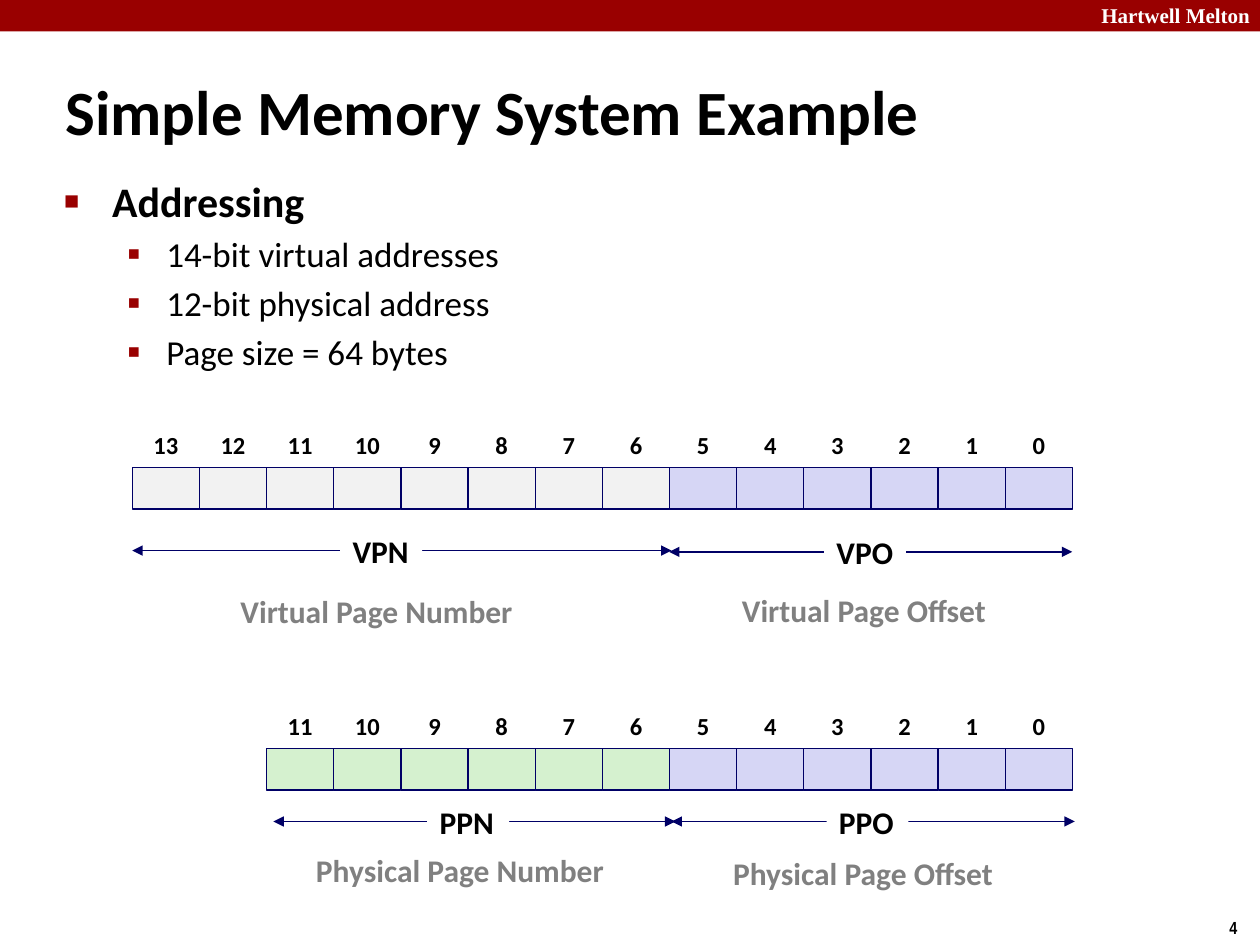
import pptx
import pptx.util
import pptx.dml.color
import pptx.enum.shapes
import pptx.enum.text
import pptx.oxml
import pptx.oxml.ns
import lxml.etree

Inches = pptx.util.Inches
Pt = pptx.util.Pt
Align = pptx.enum.text.PP_ALIGN
Anchor = pptx.enum.text.MSO_ANCHOR
Kind = pptx.enum.shapes.MSO_SHAPE


def color(code):
    """Turn a hex string into a colour."""
    return pptx.dml.color.RGBColor.from_string(code)


def child(node, tag, **attrs):
    """Append a DrawingML element to a node."""
    return lxml.etree.SubElement(node, pptx.oxml.ns.qn(tag), attrs)


class Deck:
    """Hold the style and the current slide."""

    font = "Calibri"
    black, gray, white = "000000", "808080", "FFFFFF"
    red, navy = "990000", "000066"
    pale, blue, green = "F2F2F2", "D6D6F5", "D5F1CF"
    left, pitch, high = 1.05, 0.533, 0.33

    def __init__(self):
        """Start a deck with one title and content slide."""
        self.file = pptx.Presentation()
        self.file.slide_width = Inches(10)
        self.file.slide_height = Inches(7.5)
        self.slide = self.file.slides.add_slide(self.file.slide_layouts[1])
        self.shapes = self.slide.shapes

    def place(self, shape, box):
        """Move and size a shape."""
        shape.left, shape.top, shape.width, shape.height = map(Inches, box)

    def style(self, para, size, code=black, bold=True, font=font):
        """Set the font of a paragraph."""
        para.font.size = Pt(size)
        para.font.bold = bold
        para.font.name = font
        para.font.color.rgb = color(code)

    def title(self, text, box):
        """Fill the title placeholder."""
        shape = self.shapes.title
        self.place(shape, box)
        frame = shape.text_frame
        frame.text = text
        frame.auto_size = pptx.enum.text.MSO_AUTO_SIZE.NONE
        frame.vertical_anchor = Anchor.MIDDLE
        para = frame.paragraphs[0]
        para.alignment = Align.LEFT
        self.style(para, 36)

    def body(self, items, box):
        """Fill the body placeholder with (level, text) items."""
        looks = [(24, 0.38, 0.38, "■", 60), (20, 0.81, 0.31, "▪", 110)]
        shape = self.slide.placeholders[1]
        self.place(shape, box)
        frame = shape.text_frame
        frame.text = "\n".join(text for _, text in items)
        frame.auto_size = pptx.enum.text.MSO_AUTO_SIZE.NONE
        for para, (level, _) in zip(frame.paragraphs, items):
            size, edge, hang, mark, scale = looks[level]
            para.level = level
            self.style(para, size, bold=level == 0)
            props = para._p.get_or_add_pPr()
            props.set("marL", str(Inches(edge)))
            props.set("indent", str(-Inches(hang)))
            rest = list(props)
            child(child(props, "a:buClr"), "a:srgbClr", val=self.red)
            child(props, "a:buSzPct", val=str(scale * 1000))
            child(props, "a:buChar", char=mark)
            props.extend(rest)

    def rect(self, box, fill, line=None, home=None):
        """Draw a filled rectangle."""
        shape = (home or self.shapes).add_shape(Kind.RECTANGLE, *map(Inches, box))
        shape.shadow.inherit = False
        shape.fill.solid()
        shape.fill.fore_color.rgb = color(fill)
        if line:
            shape.line.color.rgb = color(line)
            shape.line.width = Pt(0.74)
        else:
            shape.line.fill.background()
        return shape

    def words(self, shape, text, size, code=black, align=Align.LEFT,
              anchor=Anchor.TOP, tight=True, font=font):
        """Put one line of text into a shape."""
        frame = shape.text_frame
        frame.word_wrap = False
        frame.vertical_anchor = anchor
        frame.text = text
        para = frame.paragraphs[0]
        para.alignment = align
        if tight:
            para.line_spacing = 0.88
            para.space_before = Pt(size * 0.375)
        self.style(para, size, code, font=font)

    def label(self, text, box, size, **look):
        """Add a text box."""
        self.words(self.shapes.add_textbox(*map(Inches, box)), text, size, **look)

    def bits(self, top, count, fill):
        """Draw a row of numbered bits that ends at bit 0."""
        for bit in reversed(range(count)):
            x = self.left + (13 - bit) * self.pitch
            self.rect((x, top, self.pitch, self.high),
                      self.blue if bit < 6 else fill, self.navy)
            self.label(str(bit), (x, top - self.high, self.pitch, self.high), 14,
                       align=Align.CENTER, anchor=Anchor.MIDDLE)

    def span(self, text, start, end, y, x):
        """Draw a two-headed arrow with a name on it."""
        home = self.shapes.add_group_shape().shapes
        line = home.add_connector(pptx.enum.shapes.MSO_CONNECTOR.STRAIGHT,
                                  *map(Inches, (start, y, end, y)))
        line.line.color.rgb = color(self.navy)
        line.line.width = Pt(0.74)
        stroke = line._element.spPr.find(pptx.oxml.ns.qn("a:ln"))
        child(stroke, "a:headEnd", type="triangle")
        child(stroke, "a:tailEnd", type="triangle")
        child(line._element.spPr, "a:effectLst")
        self.words(self.rect((x, y - 0.16, 0.65, 0.36), self.white, home=home), text, 18)


deck = Deck()
deck.rect((0, 0, 10, 0.25), deck.red)
deck.label("Hartwell Melton", (8.64, -0.03, 1.38, 0.3), 12, code=deck.white,
           align=Align.RIGHT, tight=False, font="Times New Roman")
deck.label("4", (9.66, 7.23, 0.34, 0.27), 10, tight=False, font="Arial Narrow")
deck.title("Simple Memory System Example", (0.42, 0.56, 7.99, 0.63))
deck.body([(0, "Addressing"), (1, "14-bit virtual addresses"),
           (1, "12-bit physical address"), (1, "Page size = 64 bytes")],
          (0.41, 1.34, 9.09, 1.73))

deck.bits(3.71, 14, deck.pale)
deck.bits(5.94, 12, deck.green)

for span in [("VPO", 5.31, 8.51, 4.38, 6.54), ("PPO", 5.33, 8.53, 6.52, 6.56),
             ("PPN", 2.17, 5.36, 6.52, 3.39), ("VPN", 1.05, 5.33, 4.37, 2.7)]:
    deck.span(*span)

for text, x, y, wide in [("Virtual Page Number", 1.81, 4.69, 2.38),
                         ("Virtual Page Offset", 5.79, 4.68, 2.16),
                         ("Physical Page Number", 2.41, 6.74, 2.5),
                         ("Physical Page Offset", 5.72, 6.77, 2.29)]:
    deck.label(text, (x, y, wide, 0.36), 18, code=deck.gray)

deck.file.save("out.pptx")
